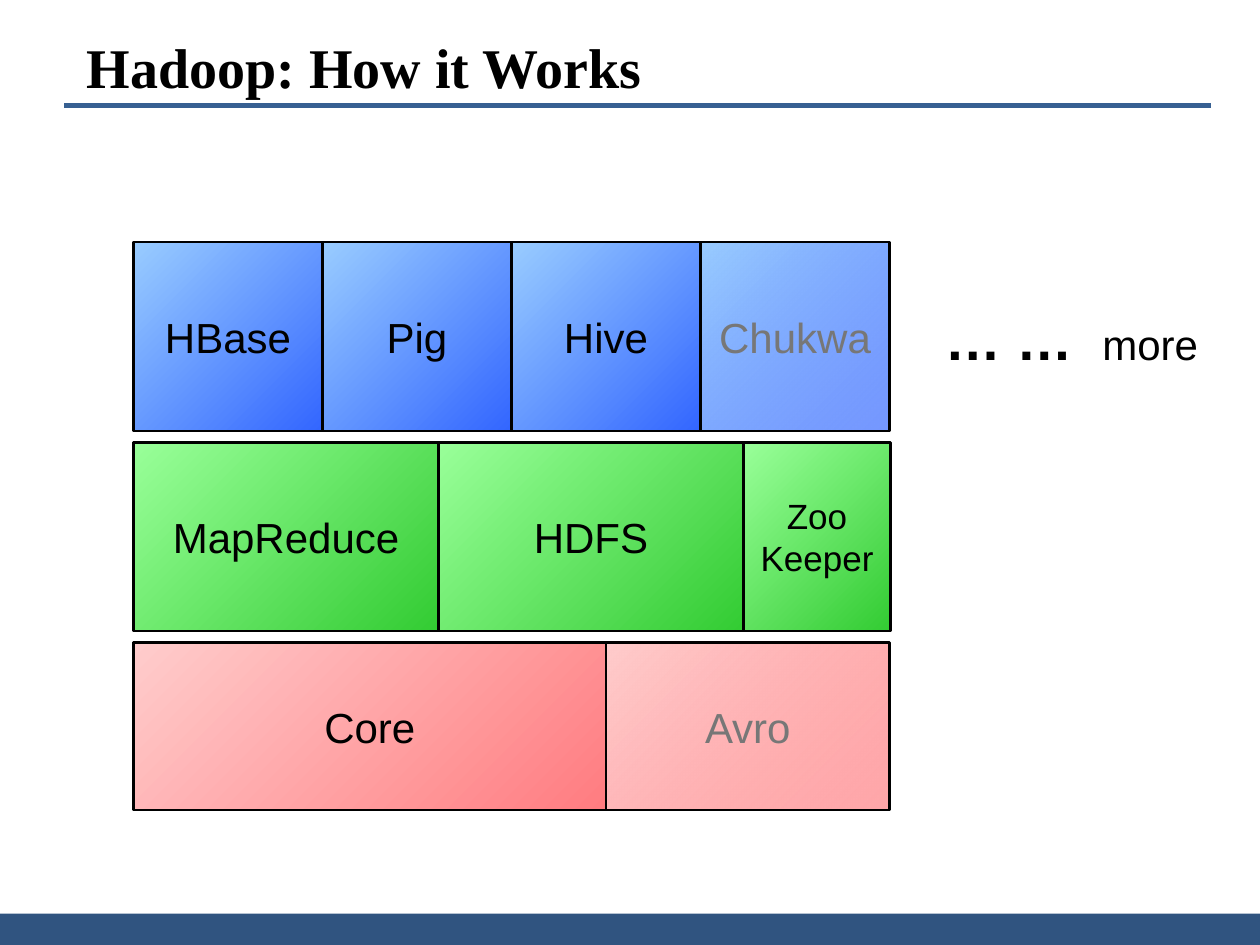
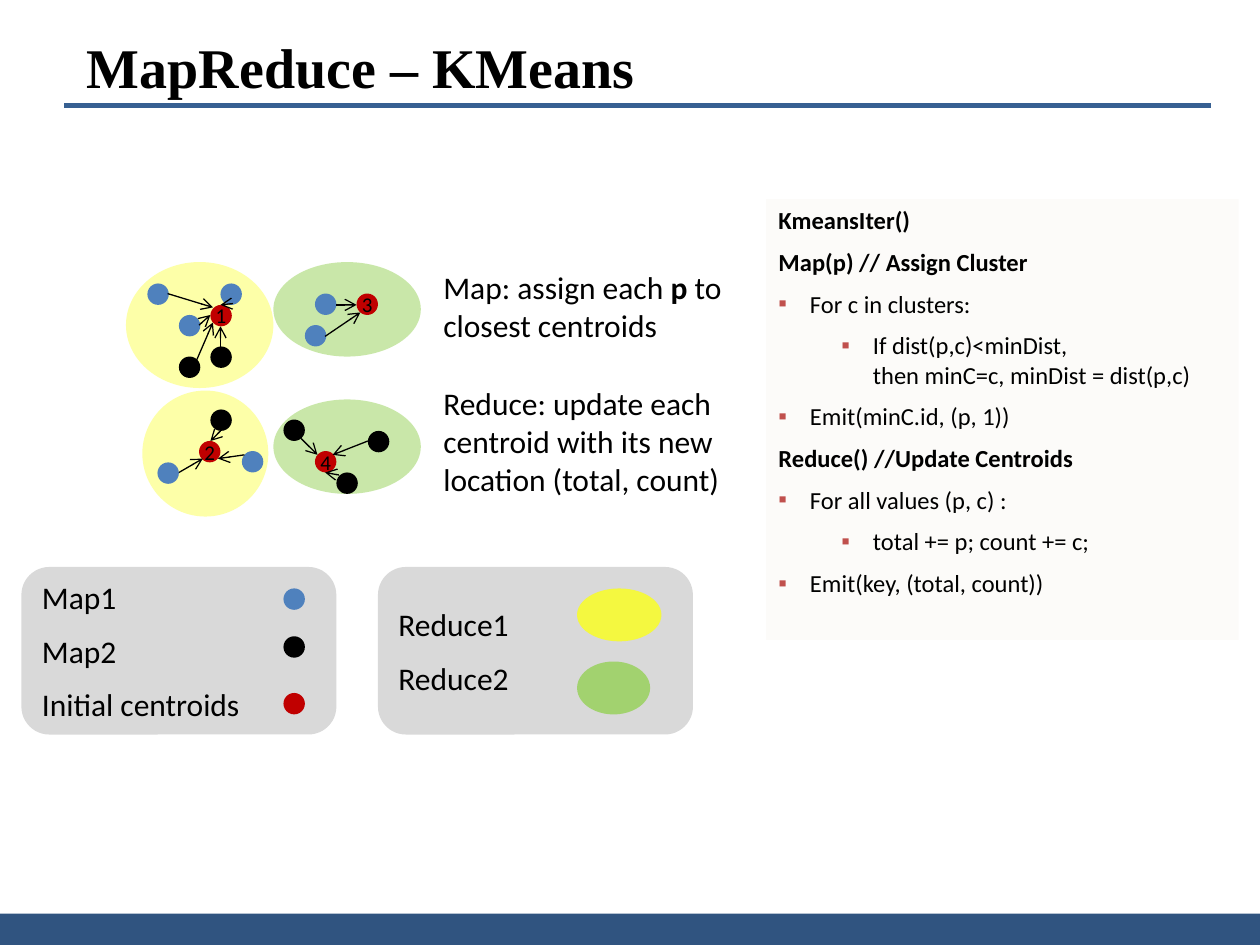
"""Builds two slides on the Hadoop stack and on KMeans with MapReduce."""
from dataclasses import dataclass

from lxml import etree
from pptx import Presentation
from pptx.dml.color import RGBColor
from pptx.enum.shapes import MSO_CONNECTOR, MSO_SHAPE
from pptx.enum.text import MSO_ANCHOR, PP_ALIGN
from pptx.oxml.ns import qn
from pptx.util import Inches, Pt

RECT, ROUND, OVAL = MSO_SHAPE.RECTANGLE, MSO_SHAPE.ROUNDED_RECTANGLE, MSO_SHAPE.OVAL
LINE = MSO_CONNECTOR.STRAIGHT
MID, TOP = MSO_ANCHOR.MIDDLE, MSO_ANCHOR.TOP
LEFT, MIDST = PP_ALIGN.LEFT, PP_ALIGN.CENTER


@dataclass(frozen=True)
class Theme:
    black: str = "000000"
    faint: str = "777777"
    band: str = "305480"
    rule: str = "376092"
    panel: str = "D9D9D9"
    paper: str = "FCFBF9"
    bullet: str = "C0504D"
    point: str = "4F81BD"
    center: str = "C00000"
    yellow: str = "FAFF21"
    green: str = "92D050"
    blues: tuple = ("99CCFF", "3366FF")
    greens: tuple = ("99FF99", "33CC33")
    reds: tuple = ("FFCCCC", "FF7C80")
    serif: str = "Times New Roman"
    sans: str = "Arial"
    body: str = "Calibri"
    title: int = 32
    block: int = 24
    small: int = 20
    text: int = 18
    code: int = 14
    mark: int = 12


def add(parent, tag, **attrs):
    node = etree.SubElement(parent, qn(tag))
    for name, value in attrs.items():
        node.set(name, str(value))
    return node


class Deck:
    def __init__(self, theme):
        self.theme = theme
        self.prs = Presentation()
        self.prs.slide_width, self.prs.slide_height = Inches(10), Inches(7.5)
        self.slide = None

    def page(self, title):
        t = self.theme
        self.slide = self.prs.slides.add_slide(self.prs.slide_layouts[6])
        self.shape(RECT, (0, 7.25, 10, 0.25), t.band)
        self.line((0.51, 0.84), (9.61, 0.84), t.rule, 3)
        self.label((0.59, 0.21, 8.82, 0.64), [(title, t.title, True)], t.serif)

    def style(self, runs, size, font, bold=False, color=None):
        for run in runs:
            run.font.size, run.font.name, run.font.bold = Pt(size), font, bold
            run.font.color.rgb = RGBColor.from_string(color or self.theme.black)

    def shape(self, kind, box, fill, alpha=100):
        item = self.slide.shapes.add_shape(kind, *map(Inches, box))
        item.shadow.inherit = False
        item.line.fill.background()
        if isinstance(fill, tuple):
            item.fill.gradient()
            item.fill.gradient_angle = 315
            for stop, color in zip(item.fill.gradient_stops, fill):
                stop.color.rgb = RGBColor.from_string(color)
        else:
            item.fill.solid()
            item.fill.fore_color.rgb = RGBColor.from_string(fill)
        if alpha < 100:
            last = list(item._element.spPr.iter(qn("a:srgbClr")))[-1]
            add(last, "a:alpha", val=alpha * 1000)
        return item

    def fill_text(self, item, text, size, font, align=MIDST, gap=0, color=None):
        frame = item.text_frame
        frame.word_wrap = False
        frame.vertical_anchor = MID
        frame.text = text
        for i, para in enumerate(frame.paragraphs):
            para.alignment = align
            para.space_before = Pt(gap if i else 0)
            self.style(para.runs, size, font, color=color)

    def block(self, box, text, fill, size, faint):
        t = self.theme
        item = self.shape(RECT, box, fill, 67 if faint else 100)
        item.line.color.rgb = RGBColor.from_string(t.black)
        item.line.width = Pt(1.5)
        self.fill_text(item, text, size, t.sans, color=t.faint if faint else t.black)

    def dot(self, x, y, color, text=""):
        item = self.shape(OVAL, (x, y, 0.17, 0.17), color)
        if text:
            frame = item.text_frame
            frame.margin_left = frame.margin_right = 0
            frame.margin_top = frame.margin_bottom = 0
            self.fill_text(item, text, self.theme.mark, self.theme.body)

    def panel(self, x, text):
        t = self.theme
        item = self.shape(ROUND, (x, 4.5, 2.5, 1.33), t.panel)
        self.fill_text(item, text, t.text, t.body, LEFT, 9)

    def line(self, start, end, color, width, arrow=False):
        item = self.slide.shapes.add_connector(LINE, *map(Inches, start + end))
        item.line.color.rgb = RGBColor.from_string(color)
        item.line.width = Pt(width)
        props = item._element.spPr
        if arrow:
            add(props.find(qn("a:ln")), "a:tailEnd", type="arrow")
        add(props, "a:effectLst")

    def label(self, box, parts, font, tab=None):
        frame = self.slide.shapes.add_textbox(*map(Inches, box)).text_frame
        frame.word_wrap = True
        para = frame.paragraphs[0]
        if tab:
            tabs = add(para._p.get_or_add_pPr(), "a:tabLst")
            add(tabs, "a:tab", pos=Inches(tab), algn="l")
        for text, size, bold in parts:
            run = para.add_run()
            run.text = text
            self.style([run], size, font, bold)

    def code(self, box, rows):
        t = self.theme
        frame = self.shape(RECT, box, t.paper).text_frame
        frame.word_wrap = True
        frame.vertical_anchor = TOP
        for i, (level, text) in enumerate(rows):
            para = frame.add_paragraph() if i else frame.paragraphs[0]
            para.text = text
            para.alignment = LEFT
            para.level = max(level - 1, 0)
            props = para._p.get_or_add_pPr()
            props.set("marL", str(Inches(0.75 if level == 2 else 0.25)))
            props.set("indent", str(Inches(-0.25)))
            if level:
                add(add(props, "a:buClr"), "a:srgbClr", val=t.bullet)
                add(props, "a:buFont", typeface=t.sans)
                add(props, "a:buChar", char="▪")
            para.space_before, para.space_after = Pt(0), Pt(7)
            self.style(para.runs, t.code, t.body, not level)


def stack(deck):
    t = deck.theme
    deck.page("Hadoop: How it Works")
    tiers = [
        (1.5, t.blues, [("HBase", 1.5), ("Pig", 1.5), ("Hive", 1.5), ("Chukwa", 1.5)]),
        (1.5, t.greens, [("MapReduce", 2.42), ("HDFS", 2.42), ("Zoo\nKeeper", 1.17)]),
        (1.33, t.reds, [("Core", 3.75), ("Avro", 2.25)]),
    ]
    y = 1.92
    for high, fill, cells in tiers:
        x = 1.06
        for text, wide in cells:
            size = t.small if "\n" in text else t.block
            deck.block((x, y, wide, high), text, fill, size, text in ("Chukwa", "Avro"))
            x += wide
        y += high + 0.09
    more = [("… …\t", t.title, True), ("more", t.block, False)]
    deck.label((7.4, 2.37, 2.33, 0.63), more, t.sans, 1.25)


def kmeans(deck):
    t = deck.theme
    deck.page("MapReduce – KMeans")
    zones = [
        ((1, 2.08, 1.17, 1), t.yellow, 39), ((1.13, 3.1, 1, 1), t.yellow, 39),
        ((2.17, 2.08, 1.17, 0.75), t.green, 49), ((2.17, 3.17, 1.17, 0.75), t.green, 49),
    ]
    for box, color, alpha in zones:
        deck.shape(OVAL, box, color, alpha)
    points = {
        t.point: [(1.42, 2.5), (1.17, 2.25), (1.75, 2.25), (2.5, 2.33),
                  (2.42, 2.58), (1.92, 3.58), (1.25, 3.67)],
        t.black: [(1.67, 3.25), (2.67, 3.75), (1.67, 2.75),
                  (2.25, 3.33), (1.42, 2.83), (2.92, 3.42)],
    }
    for color, spots in points.items():
        for x, y in spots:
            deck.dot(x, y, color)
    centers = [(1.67, 2.42), (1.58, 3.5), (2.83, 2.33), (2.5, 3.58)]
    for i, (x, y) in enumerate(centers, 1):
        deck.dot(x, y, t.center, str(i))
    arrows = [
        ((1.33, 2.33), (1.69, 2.44)), ((1.58, 2.58), (1.67, 2.5)),
        ((1.56, 2.86), (1.69, 2.56)), ((1.84, 2.41), (1.75, 2.42)),
        ((1.75, 2.75), (1.75, 2.59)), ((2.67, 2.42), (2.83, 2.42)),
        ((2.58, 2.67), (2.86, 2.48)), ((2.39, 3.48), (2.52, 3.61)),
        ((2.92, 3.5), (2.64, 3.61)), ((2.69, 3.77), (2.58, 3.75)),
        ((1.75, 3.42), (1.67, 3.5)), ((1.42, 3.75), (1.61, 3.64)),
        ((1.94, 3.61), (1.73, 3.64)),
    ]
    for start, end in arrows:
        deck.line(start, end, t.black, 0.75, True)

    deck.panel(0.17, "Map1\nMap2\nInitial centroids")
    for y, color in [(4.67, t.point), (5.05, t.black), (5.5, t.center)]:
        deck.dot(2.25, y, color)
    deck.panel(3, "Reduce1\nReduce2")
    deck.shape(OVAL, (4.58, 5.25, 0.58, 0.42), t.green, 77)
    deck.shape(OVAL, (4.58, 4.67, 0.67, 0.42), t.yellow, 83)

    assign = [("Map: assign each ", t.text, False), ("p", t.text, True),
              (" to closest centroids", t.text, False)]
    deck.label((3.42, 2.08, 2.42, 0.71), assign, t.body)
    update = "Reduce: update each centroid with its new location (total, count)"
    deck.label((3.42, 3, 2.58, 1.01), [(update, t.text, False)], t.body)
    deck.code((6.08, 1.58, 3.75, 3.5), [
        (0, "KmeansIter()"),
        (0, "Map(p) // Assign Cluster"),
        (1, "For c in clusters:"),
        (2, "If dist(p,c)<minDist, \vthen minC=c, minDist = dist(p,c)"),
        (1, "Emit(minC.id, (p, 1))"),
        (0, "Reduce() //Update Centroids"),
        (1, "For all values (p, c) :"),
        (2, "total += p; count += c;"),
        (1, "Emit(key, (total, count))"),
    ])


def main():
    deck = Deck(Theme())
    stack(deck)
    kmeans(deck)
    deck.prs.save("out.pptx")


if __name__ == "__main__":
    main()
